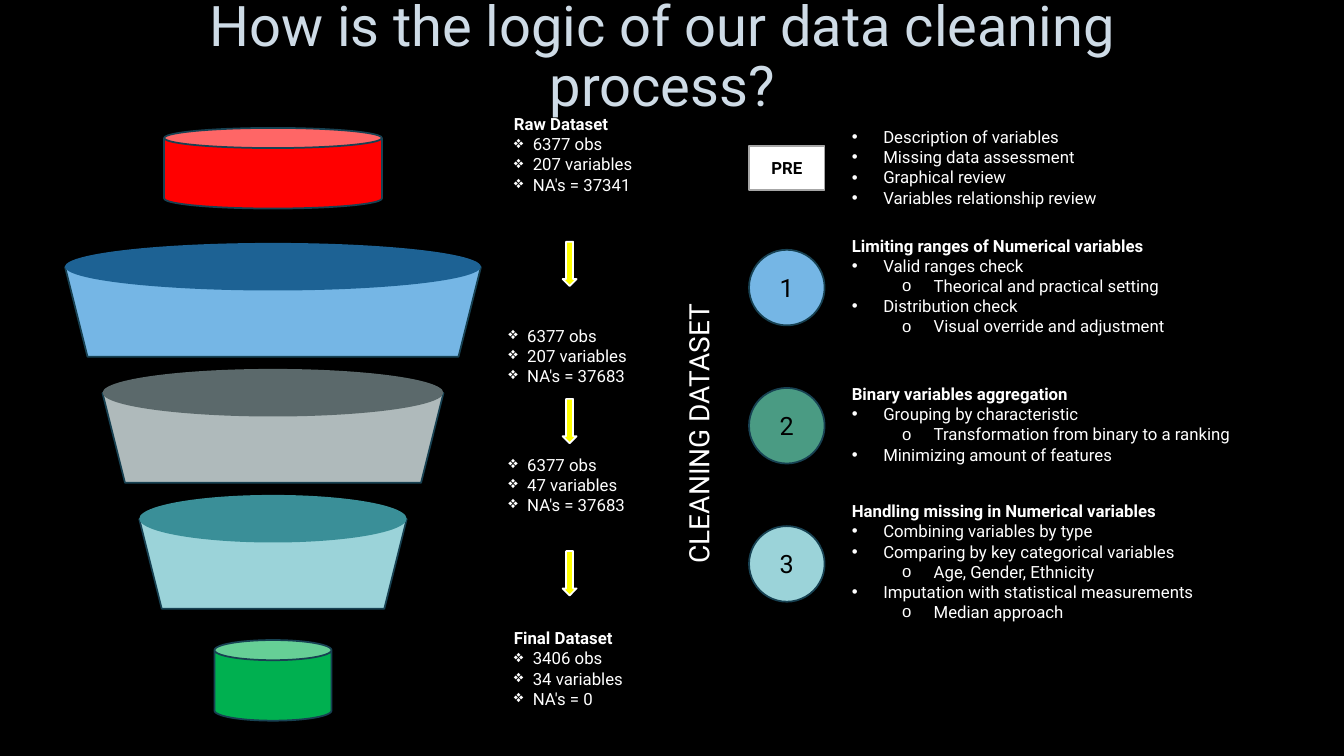
"""Builds a slide that explains the data cleaning funnel and its steps."""
import pptx
import pptx.dml.color
import pptx.enum.shapes
import pptx.enum.text
import pptx.oxml
import pptx.oxml.ns
import pptx.util
from lxml import etree

Pt = pptx.util.Pt
SHAPE = pptx.enum.shapes.MSO_SHAPE
ANCHOR = pptx.enum.text.MSO_ANCHOR
ALIGN = pptx.enum.text.PP_ALIGN
FIT = pptx.enum.text.MSO_AUTO_SIZE
THEME = {
    "font": "Roboto", "title_size": 40, "banner_size": 20, "number_size": 18, "body_size": 12,
    "background": "000000", "title": "CEDBE6", "text": "FFFFFF", "dark": "000000",
    "outline": "174152", "box_line": "A6A6A6", "arrow": "FFFF00",
    "raw": "FF0000", "final": "00B050",
    "blue": "75B6E5", "blue_top": "1D6294", "grey": "AFBABB", "grey_top": "5B696B",
    "teal": "9BD3D9", "teal_top": "3A8F98", "green": "4A9B83",
}


def add_figure(kind, left, top, width, height, fill, line="outline", label="", size="body_size", bold=False):
    """Draw a filled preset shape, with an optional outline and centred label."""
    figure = page.shapes.add_shape(kind, Pt(left), Pt(top), Pt(width), Pt(height))
    figure.shadow.inherit = False
    figure.fill.solid()
    figure.fill.fore_color.rgb = pptx.dml.color.RGBColor.from_string(THEME[fill])
    if line:
        figure.line.color.rgb = pptx.dml.color.RGBColor.from_string(THEME[line])
        figure.line.width = Pt(1.25)
    else:
        figure.line.fill.background()
    if label:
        write(figure, [("plain", label)], size, "dark", bold, ALIGN.CENTER, ANCHOR.MIDDLE, FIT.NONE)
    return figure


def write(box, lines, size="body_size", color="text", bold=False, align=ALIGN.LEFT, anchor=ANCHOR.TOP,
          fit=FIT.SHAPE_TO_FIT_TEXT, spacing=1.0):
    """Fill a box with paragraphs given as (style, wording) pairs."""
    frame = box.text_frame
    for name, value in {"word_wrap": True, "auto_size": fit, "vertical_anchor": anchor}.items():
        setattr(frame, name, value)
    for index, (style, wording) in enumerate(lines):
        para = frame.add_paragraph() if index else frame.paragraphs[0]
        level, margin, indent, mark = STYLES[style]
        settings = {"level": level, "alignment": align, "line_spacing": spacing,
                    "space_before": Pt(0), "space_after": Pt(0)}
        for name, value in settings.items():
            setattr(para, name, value)
        properties = para._p.get_or_add_pPr()
        properties.set("marL", str(Pt(margin)))
        properties.set("indent", str(Pt(indent)))
        bullet = etree.SubElement(properties, pptx.oxml.ns.qn("a:buChar" if mark else "a:buNone"))
        if mark:
            bullet.set("char", mark)
        span = para.add_run()
        span.text = wording
        formats = {"name": THEME["font"], "size": Pt(THEME[size]), "bold": bold or style == "heading"}
        for name, value in formats.items():
            setattr(span.font, name, value)
        span.font.color.rgb = pptx.dml.color.RGBColor.from_string(THEME[color])


STYLES = {
    "plain": (0, 0, 0, ""), "heading": (0, 0, 0, ""), "diamond": (0, 13.5, -13.5, "❖"),
    "dot": (0, 22.5, -22.5, "•"), "sub": (1, 58.5, -22.5, "o"),
}

deck = pptx.Presentation()
deck.slide_width, deck.slide_height = Pt(960), Pt(540)
page = deck.slides.add_slide(deck.slide_layouts[4])
page.background.fill.solid()
page.background.fill.fore_color.rgb = pptx.dml.color.RGBColor.from_string(THEME["background"])
title, *step_boxes = page.placeholders

center = 195
for row, (color, width) in enumerate([("blue", 297), ("grey", 243.5), ("teal", 191)]):
    left, top = center - width / 2, 173.5 + 90 * row
    add_figure(SHAPE.TRAPEZOID, left, top + 17.3, width, 64, color).rotation = 180
    add_figure(SHAPE.OVAL, left, top, width, 34, color + "_top", None)
for color, width, top in [("raw", 155.6, 91.4), ("final", 83.6, 457.2)]:
    add_figure(SHAPE.CAN, center - width / 2, top, width, 57.6, color)

for row, color in enumerate(["blue", "green", "teal"]):
    add_figure(SHAPE.OVAL, 535, 178.4 + 98.7 * row, 54, 54, color, label=str(row + 1), size="number_size")
add_figure(SHAPE.RECTANGLE, 535, 104.2, 54, 31.7, "text", "box_line", "PRE", bold=True)

for middle in [188.5, 300.8, 409.5]:
    add_figure(SHAPE.RIGHT_ARROW, 391, middle - 5, 31.7, 10, "arrow", "text").rotation = 90

title.left, title.top, title.width, title.height = Pt(65.5), Pt(-8), Pt(815), Pt(99.4)
write(title, [("plain", "How is the logic of our data cleaning process?")], "title_size", "title",
      False, ALIGN.CENTER, ANCHOR.MIDDLE, FIT.NONE, 0.9)
title_outline = pptx.oxml.parse_xml(
    f'<a:ln {pptx.oxml.ns.nsdecls("a")} w="9525"><a:solidFill><a:srgbClr val="404040">'
    '<a:alpha val="10000"/></a:srgbClr></a:solidFill><a:prstDash val="solid"/></a:ln>')
title.text_frame.paragraphs[0].runs[0].font._element.insert(0, title_outline)

steps = [
    (87, 279.5, [("dot", "Description of variables"), ("dot", "Missing data assessment"),
                 ("dot", "Graphical review"), ("dot", "Variables relationship review")]),
    (164.6, 279.5, [("heading", "Limiting ranges of Numerical variables"),
                    ("dot", "Valid ranges check"), ("sub", "Theorical and practical setting"),
                    ("dot", "Distribution check"), ("sub", "Visual override and adjustment")]),
    (270.6, 326, [("heading", "Binary variables aggregation"),
                  ("dot", "Grouping by characteristic"),
                  ("sub", "Transformation from binary to a ranking"),
                  ("dot", "Minimizing amount of features")]),
    (354.2, 308, [("heading", "Handling missing in Numerical variables"),
                  ("dot", "Combining variables by type"),
                  ("dot", "Comparing by key categorical variables"),
                  ("sub", "Age, Gender, Ethnicity"),
                  ("dot", "Imputation with statistical measurements"), ("sub", "Median approach")]),
]
for box, (top, width, lines) in zip(step_boxes, steps):
    box.left, box.top, box.width, box.height = Pt(601.2), Pt(top), Pt(width), Pt(7.2 + 14.5 * len(lines))
    write(box, lines)

datasets = [
    (360, 77.8, "Raw Dataset", ["6377 obs", "207 variables", "NA's = 37341"]),
    (356, 229, "", ["6377 obs", "207 variables", "NA's = 37683"]),
    (356, 321.1, "", ["6377 obs", "47 variables", "NA's = 37683"]),
    (360, 445, "Final Dataset", ["3406 obs", "34 variables", "NA's = 0"]),
]
for left, top, heading, facts in datasets:
    lines = [("heading", heading)] if heading else []
    lines += [("diamond", fact) for fact in facts]
    box = page.shapes.add_textbox(Pt(left), Pt(top), Pt(102.2), Pt(7.2 + 14.5 * len(lines)))
    write(box, lines)

banner = page.shapes.add_textbox(Pt(392.4), Pt(287.3), Pt(213), Pt(31.5))
banner.rotation = 270
write(banner, [("plain", "CLEANING DATASET")], "banner_size")

deck.save("out.pptx")
